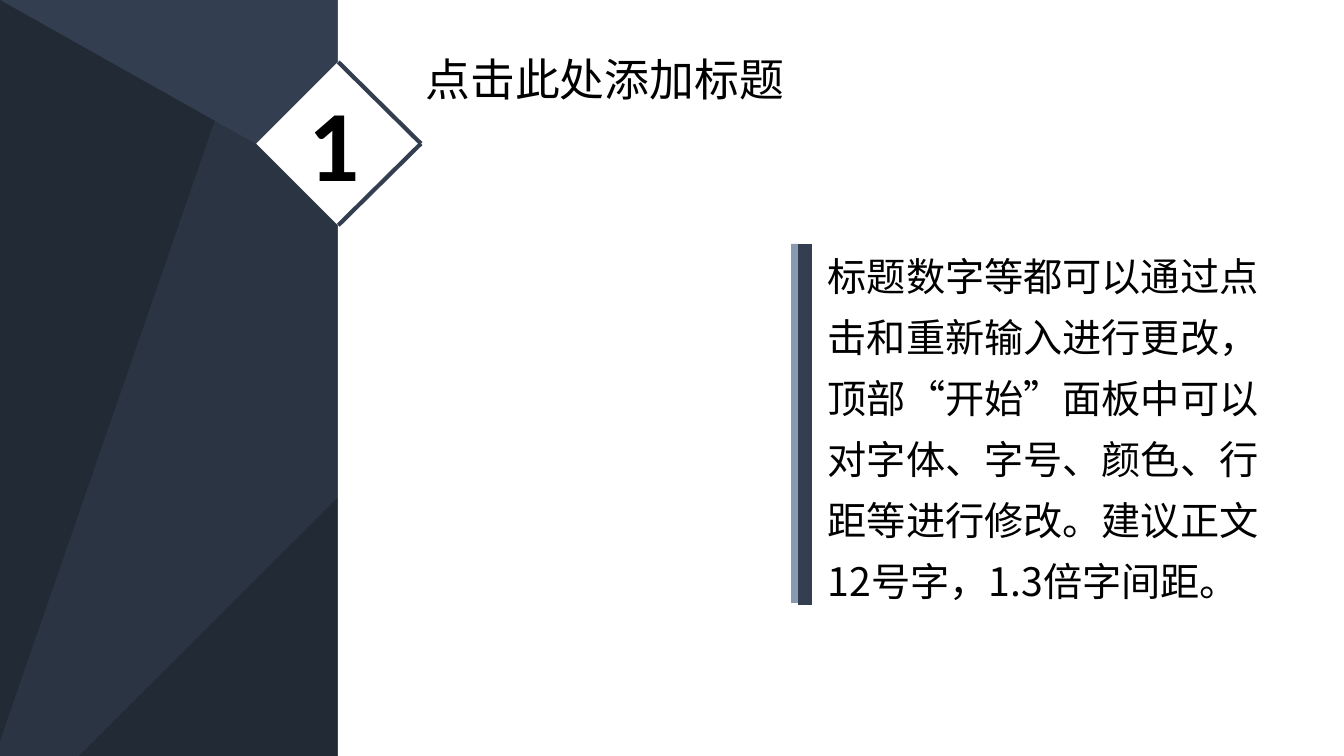
from pptx import Presentation
from pptx import util as u
from pptx.dml.color import RGBColor
from pptx.enum import shapes, text
from pptx.oxml import ns
from lxml import etree

SLATE, INK, STEEL = "333F50", "222A35", "8497B0"
WHITE, BLACK = "FFFFFF", "000000"
LATIN, HAN = "Calibri", "Noto Sans CJK SC"
HEADING = "点击此处添加标题"
BODY = ("标题数字等都可以通过点击和重新输入进行更改，顶部“开始”面板中可以对字体、"
        "字号、颜色、行距等进行修改。建议正文12号字，1.3倍字间距。")


def paint(fill, colour, alpha=None):
    """Set a solid colour, with opacity in percent when given."""
    fill.solid()
    fill.fore_color.rgb = RGBColor.from_string(colour)
    if alpha is not None:
        tint = fill._xPr.find(ns.qn("a:solidFill"))[0]
        etree.SubElement(tint, ns.qn("a:alpha"), val=str(alpha * 1000))


def add_block(page, kind, box, colour, alpha=None, rotation=0):
    block = page.shapes.add_shape(kind, *map(u.Inches, box))
    block.shadow.inherit = False
    block.rotation = rotation
    block.line.fill.background()
    paint(block.fill, colour, alpha)
    return block


def add_rule(page, start, end, colour, width, alpha=None):
    rule = page.shapes.add_connector(
        shapes.MSO_CONNECTOR.STRAIGHT, *map(u.Inches, (*start, *end)))
    rule.line.width = u.Pt(width)
    paint(rule.line.fill, colour, alpha)
    etree.SubElement(rule.element.spPr, ns.qn("a:effectLst"))


def write(shape, words, face, size, bold=False, spacing=1.0,
          align=text.PP_ALIGN.LEFT, inset=(0.1, 0.05)):
    frame = shape.text_frame
    frame_format = {
        "word_wrap": True,
        "auto_size": text.MSO_AUTO_SIZE.NONE,
        "vertical_anchor": text.MSO_ANCHOR.TOP,
        "margin_left": u.Inches(inset[0]), "margin_right": u.Inches(inset[0]),
        "margin_top": u.Inches(inset[1]), "margin_bottom": u.Inches(inset[1]),
    }
    for name, value in frame_format.items():
        setattr(frame, name, value)
    para = frame.paragraphs[0]
    para_format = {"alignment": align, "line_spacing": spacing,
                   "space_before": u.Pt(0)}
    for name, value in para_format.items():
        setattr(para, name, value)
    span = para.add_run()
    span.text = words
    for name, value in {"name": face, "size": u.Pt(size), "bold": bold}.items():
        setattr(span.font, name, value)
    paint(span.font.fill, BLACK)
    etree.SubElement(span.font._element, ns.qn("a:ea"), typeface=face)


def add_backdrop(page, box):
    """Dark facets on the left, white sheet on the right."""
    left, top, width, height = box
    triangle = shapes.MSO_SHAPE.ISOSCELES_TRIANGLE
    paint(page.background.fill, SLATE)
    lower = add_block(page, triangle, box, INK)
    lower.adjustments[0] = 0
    facet = add_block(page, triangle, (left + 1.18, top - 1.16, 5.41, 11.12),
                      SLATE, 50, 199.1)
    facet.adjustments[0] = 1
    edge = 3.35
    add_block(page, shapes.MSO_SHAPE.RECTANGLE,
              (left + edge, top, width - edge, height), WHITE)


def add_badge(page, box):
    """Numbered diamond with two outlined right-hand sides."""
    left, top, side, _ = box
    middle, centre = left + side / 2, top + side / 2
    reach = 0.81
    add_block(page, shapes.MSO_SHAPE.RECTANGLE, box, WHITE, rotation=45)
    for tip in (centre - reach, centre + reach):
        add_rule(page, (middle, tip), (middle + reach + 0.01, centre), SLATE, 3)
    number = page.shapes.add_textbox(
        *map(u.Inches, (middle - 0.39, top - 0.1, 0.75, 1.31)))
    write(number, "1", LATIN, 72, bold=True)


def add_heading(page, box):
    title = page.shapes.title
    for name, value in zip(("left", "top", "width", "height"), box):
        setattr(title, name, u.Inches(value))
    write(title, HEADING, HAN, 32)
    page.shapes.element.append(title.element)  # above the white sheet


def add_body(page, box):
    """Paragraph with a double bar along its left side."""
    left, top, width, height = box
    start = top + 0.1
    add_rule(page, (left - 0.16, start), (left - 0.16, start + 3.58), SLATE, 10)
    add_rule(page, (left - 0.26, start), (left - 0.26, start + 3.56), STEEL, 5, 96)
    body = page.shapes.add_textbox(*map(u.Inches, box))
    write(body, BODY, HAN, 28, spacing=1.3, inset=(0.07, 0.04))


def main():
    deck = Presentation()
    deck.slide_width, deck.slide_height = u.Inches(13.33), u.Inches(7.5)
    page = deck.slides.add_slide(deck.slide_layouts.get_by_name("Title Only"))
    add_backdrop(page, (0, 0, 13.33, 7.5))
    add_badge(page, (2.78, 0.85, 1.15, 1.15))
    add_heading(page, (4.12, 0.46, 4.09, 0.64))
    add_body(page, (8.14, 2.32, 4.54, 3.69))
    deck.save("out.pptx")


if __name__ == "__main__":
    main()
